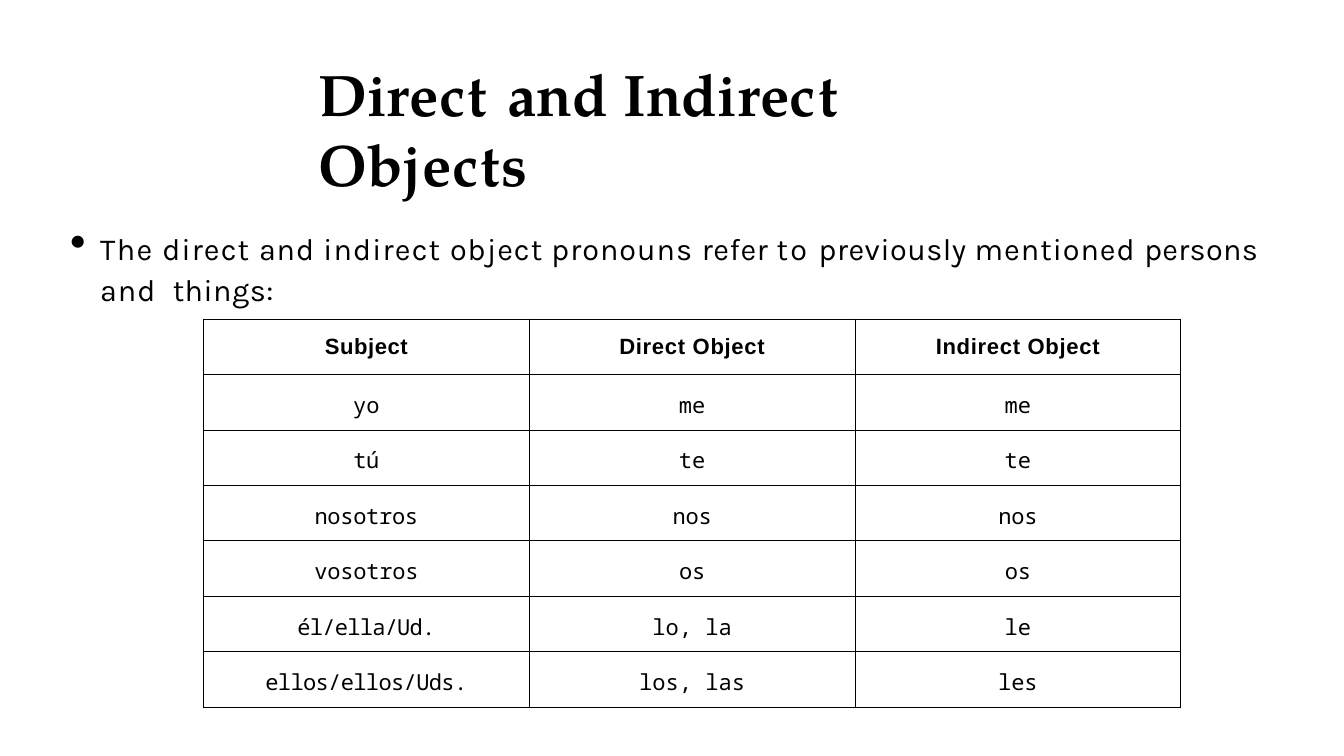
from dataclasses import dataclass
from itertools import product

from lxml import etree
from pptx import Presentation
from pptx import util as u
from pptx.dml.color import RGBColor
from pptx.enum import text
from pptx.oxml import ns

BLACK = "000000"


@dataclass(frozen=True)
class Style:
    """Font shared by all runs of a paragraph."""
    font: str
    size: float
    bold: bool = False
    color: str = BLACK


@dataclass(frozen=True)
class Piece:
    """Stretch of text with one letter spacing in points."""
    text: str
    spacing: float


@dataclass(frozen=True)
class Box:
    """Text box placement in inches, with its top inset."""
    left: float
    top: float
    width: float
    height: float
    inset: float


TITLE = Style("TeX Gyre Pagella", 69, True)
BODY = Style("Karla", 36)
HEAD = Style("Arial", 26, True)
CELL = Style("Noto Sans Mono", 26)

TITLE_BOX = Box(5.21, 0.64, 11.56, 2.22, 0.3)
BODY_BOX = Box(1.13, 3.67, 19.53, 1.39, 0.01)
TABLE_BOX = Box(3.33, 5.22, 15.99, 6.35, 0.25)

TITLE_PIECES = [Piece(*x) for x in (
    ("D", -3.5), ("i", -2.1), ("r", 0.2), ("e", 0.5), ("c", 2.7), ("t ", 3.1),
    ("a", 0.5), ("n", -0.9), ("d ", 0.2),
    ("I", -4.5), ("n", -0.9), ("d", -0.5), ("i", -4), ("r", 0.2), ("e", 0.5),
    ("c", 2.7), ("t ", 3.1),
    ("O", -0.5), ("b", -2), ("j", -4.7), ("e", 0.5), ("c", 2.7), ("t", 2),
    ("s", -0.9))]
BODY_PIECES = [Piece(*x) for x in (
    ("The ", 1.6), ("direct ", 1.4), ("and ", 1.1), ("indirect ", 1.4),
    ("object pronouns ", 1.2), ("refer ", 0.7), ("to ", 2.6),
    ("previously ", 0.6), ("mentioned ", 1.2), ("persons ", 0.4),
    ("and  ", 1.1), ("things:", 0.6))]
PRONOUNS = [
    [("Subject", 0.6), ("Direct Object", 0.8), ("Indirect Object", 0.8)],
    [("yo", -0.2), ("me", 0.1), ("me", 0.1)],
    [("tú", -0.5), ("te", 0.1), ("te", 0.1)],
    [("nosotros", -0.4), ("nos", -0.3), ("nos", -0.3)],
    [("vosotros", -0.3), ("os", -0.3), ("os", -0.3)],
    [("él/ella/Ud.", -0.9), ("lo, la", 0), ("le", -0.1)],
    [("ellos/ellos/Uds.", -0.8), ("los, las", 0), ("les", -0.2)],
]


def rgb(color: str) -> RGBColor:
    """Turn a hex string into a colour."""
    return RGBColor.from_string(color)


def write(p, pieces: list[Piece], style: Style, before: float) -> None:
    """Fill a paragraph with styled, letter-spaced runs."""
    p.space_before = u.Pt(before)
    for piece in pieces:
        r = p.add_run()
        r.text = piece.text
        r.font.name = style.font
        r.font.size = u.Pt(style.size)
        r.font.bold = style.bold
        r.font.color.rgb = rgb(style.color)
        r.font._element.set("spc", str(round(piece.spacing * 100)))


def add_text(s, box: Box, pieces: list[Piece], style: Style, before: float):
    """Add a wrapping text box and return its paragraph."""
    sp = s.shapes.add_textbox(*map(u.Inches, (box.left, box.top, box.width, box.height)))
    tf = sp.text_frame
    tf.word_wrap = True
    tf.margin_left = tf.margin_right = tf.margin_bottom = 0
    tf.margin_top = u.Inches(box.inset)
    p = tf.paragraphs[0]
    write(p, pieces, style, before)
    return p


def add_bullet(p, indent: float, hanging: float, percent: int) -> None:
    """Give a paragraph a round bullet with a hanging indent."""
    pPr = p._p.get_or_add_pPr()
    pPr.set("marL", str(u.Inches(indent)))
    pPr.set("indent", str(-u.Inches(hanging)))
    etree.SubElement(pPr, ns.qn("a:buSzPct"), val=str(percent * 1000))
    etree.SubElement(pPr, ns.qn("a:buChar"), char="•")


def add_borders(cell, color: str, width: float) -> None:
    """Draw a solid line on all four sides of a cell."""
    tcPr = cell._tc.get_or_add_tcPr()
    for i, side in enumerate(("lnL", "lnR", "lnT", "lnB")):
        ln = etree.Element(ns.qn(f"a:{side}"), w=str(u.Pt(width)))
        fill = etree.SubElement(ln, ns.qn("a:solidFill"))
        etree.SubElement(fill, ns.qn("a:srgbClr"), val=color)
        tcPr.insert(i, ln)


def add_pronoun_table(s, box: Box) -> None:
    """Add the bordered grid of pronouns."""
    rows, cols = len(PRONOUNS), len(PRONOUNS[0])
    frame = s.shapes.add_table(
        rows, cols, *map(u.Inches, (box.left, box.top, box.width, box.height)))
    table = frame.table
    table.first_row = table.horz_banding = False
    for i, j in product(range(rows), range(cols)):
        cell = table.cell(i, j)
        cell.margin_left = cell.margin_right = cell.margin_bottom = 0
        cell.margin_top = u.Inches(box.inset)
        cell.fill.background()
        add_borders(cell, BLACK, 1)
        p = cell.text_frame.paragraphs[0]
        p.alignment = text.PP_ALIGN.CENTER
        write(p, [Piece(*PRONOUNS[i][j])], CELL if i else HEAD, 17.8)


def main() -> None:
    """Build and save the slide."""
    prs = Presentation()
    prs.slide_width, prs.slide_height = u.Inches(21.99), u.Inches(12.37)
    s = prs.slides.add_slide(prs.slide_layouts[6])
    add_text(s, TITLE_BOX, TITLE_PIECES, TITLE, 1.2)
    p = add_text(s, BODY_BOX, BODY_PIECES, BODY, 0.9)
    p.line_spacing = 1.13
    add_bullet(p, 0.51, 0.49, 151)
    add_pronoun_table(s, TABLE_BOX)
    prs.save("out.pptx")


if __name__ == "__main__":
    main()
